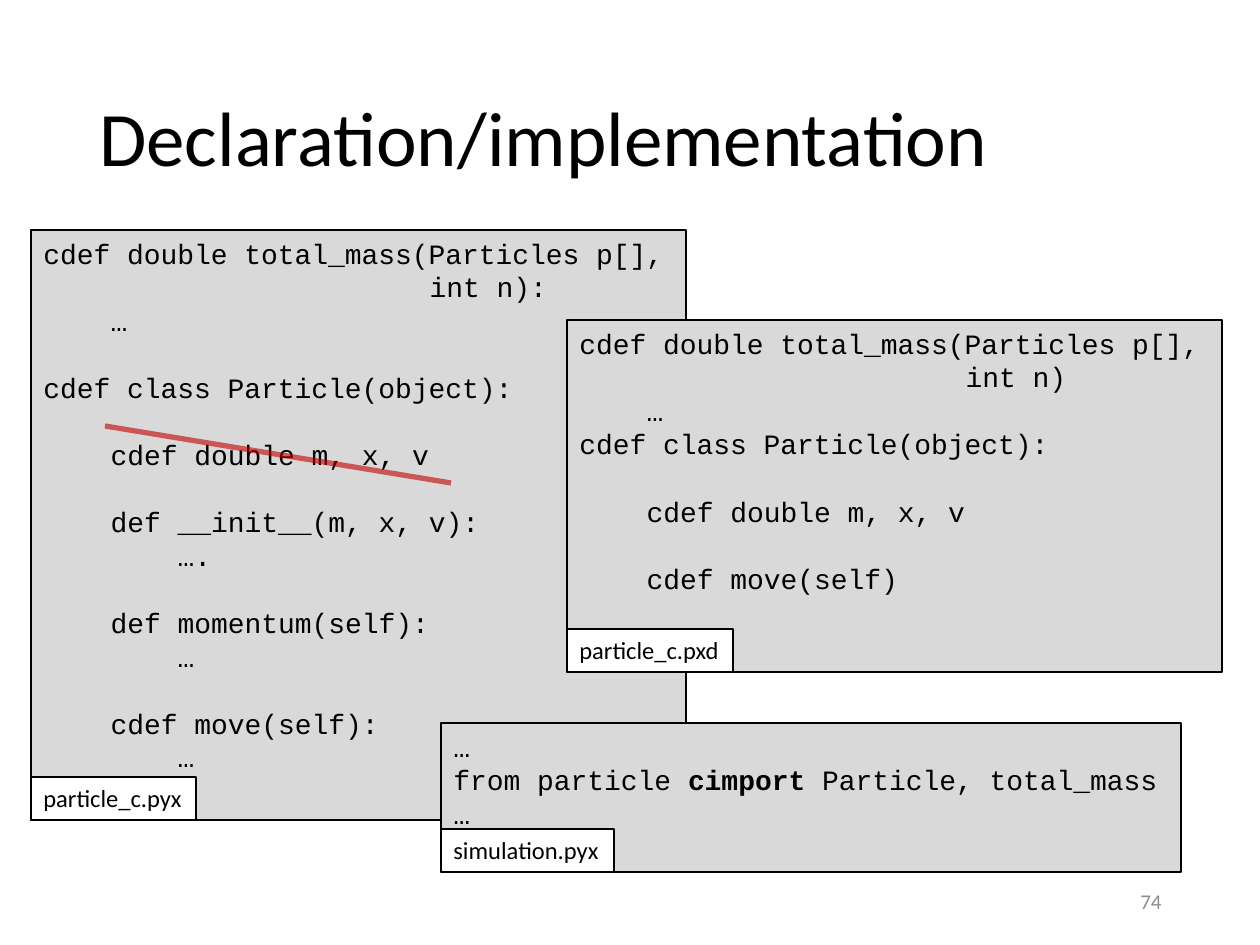
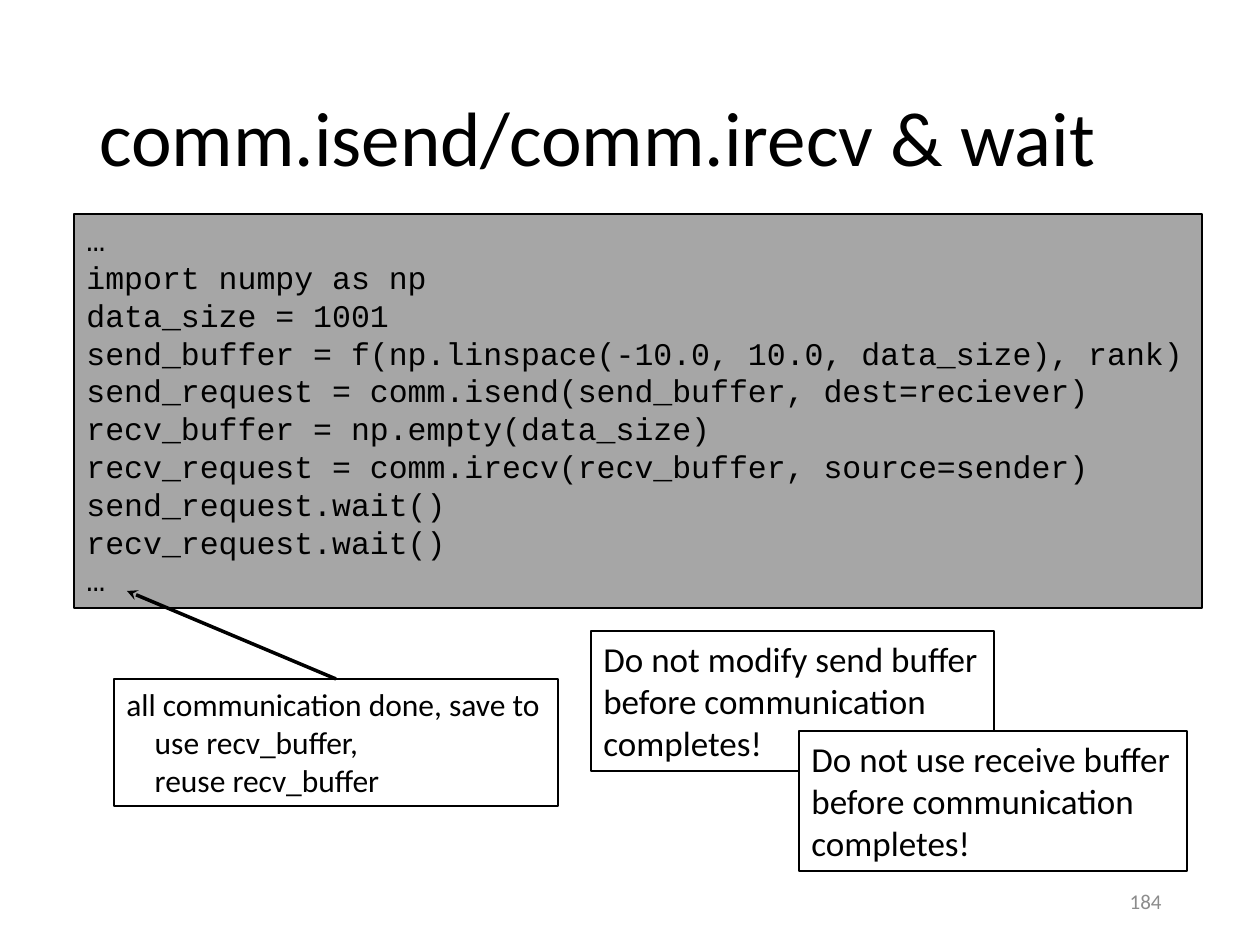
from lxml import etree
from pptx import Presentation
from pptx.dml.color import RGBColor
from pptx.enum.shapes import MSO_CONNECTOR, MSO_SHAPE
from pptx.enum.text import MSO_ANCHOR, PP_ALIGN
from pptx.oxml.ns import qn
from pptx.util import Emu, Inches, Pt

RECTANGLE = MSO_SHAPE.RECTANGLE
STRAIGHT = MSO_CONNECTOR.STRAIGHT
TOP, MIDDLE = MSO_ANCHOR.TOP, MSO_ANCHOR.MIDDLE
LEFT, RIGHT = PP_ALIGN.LEFT, PP_ALIGN.RIGHT

PIXEL = 914400 // 126
BLACK, WHITE, MUTED, RED = "000000", "FFFFFF", "8C8C8C", "C00000"
LIGHT_GRAY, MID_GRAY = "D9D9D9", "A6A6A6"
SANS, MONO = "Calibri", "Courier New"
CHARACTER_WIDTH = 0.6
LINE_HEIGHT = 1.2
LABEL_HEIGHT = 43


def px(length):
    return Emu(length * PIXEL)


def rgb(value):
    return RGBColor.from_string(value)


def line(*spans, indent=0, gap=0):
    return spans, indent, gap


class Composer:
    def __init__(self, deck):
        self.deck = deck
        self.slide = None

    def start(self, title, number):
        self.slide = self.deck.slides.add_slide(self.deck.slide_layouts[6])
        self.caption((87, 50, 1086, 183), title, 44, spacing=0.9)
        self.caption((890, 876, 284, 50), str(number), 12, MUTED, RIGHT)

    def caption(self, place, text, size, color=BLACK, align=LEFT, spacing=1.0):
        box = self.slide.shapes.add_textbox(*map(px, place))
        self.fill_text(box.text_frame, [line(text)], SANS, size, color, align, MIDDLE)
        box.text_frame.paragraphs[0].line_spacing = spacing

    def fill_text(self, frame, lines, font, size, color=BLACK, align=LEFT, anchor=TOP):
        frame.word_wrap = True
        frame.vertical_anchor = anchor
        for index, (spans, indent, gap) in enumerate(lines):
            para = frame.add_paragraph() if index else frame.paragraphs[0]
            para.alignment = align
            if gap:
                para.space_before = Pt(gap * LINE_HEIGHT * size)
            if indent:
                properties = para._p.get_or_add_pPr()
                properties.set("marL", str(Pt(indent * CHARACTER_WIDTH * size)))
            for position, text in enumerate(spans):
                for row, part in enumerate(text.split("\n")):
                    if row:
                        para.add_line_break()
                    span = para.add_run()
                    span.text = part
                    span.font.name = font
                    span.font.size = Pt(size)
                    span.font.bold = position % 2 == 1
                    span.font.color.rgb = rgb(color)

    def box(self, place, lines, font, size, fill=None, holder=None):
        shapes = (holder or self.slide).shapes
        box = shapes.add_shape(RECTANGLE, *map(px, place))
        box.shadow.inherit = False
        if fill:
            box.fill.solid()
            box.fill.fore_color.rgb = rgb(fill)
        else:
            box.fill.background()
        box.line.color.rgb = rgb(BLACK)
        box.line.width = Pt(0.75)
        self.fill_text(box.text_frame, lines, font, size)

    def group(self):
        return self.slide.shapes.add_group_shape()

    def code_panel(self, place, lines, label, label_width):
        left, top, width, height = place
        panel = self.group()
        self.box(place, lines, MONO, 16, LIGHT_GRAY, panel)
        tab = (left, top + height - LABEL_HEIGHT, label_width, LABEL_HEIGHT)
        self.box(tab, [line(label)], SANS, 14, WHITE, panel)

    def stroke(self, start, end, color, width, opacity=None, arrow=None, holder=None):
        shapes = (holder or self.slide).shapes
        connector = shapes.add_connector(STRAIGHT, *map(px, start + end))
        connector.line.color.rgb = rgb(color)
        connector.line.width = Pt(width)
        properties = connector._element.spPr
        outline = properties.find(qn("a:ln"))
        if opacity:
            shade = outline.find(".//" + qn("a:srgbClr"))
            etree.SubElement(shade, qn("a:alpha"), val=str(opacity * 1000))
        if arrow:
            etree.SubElement(outline, qn("a:tailEnd"), type=arrow)
        etree.SubElement(properties, qn("a:effectLst"))


deck = Presentation()
deck.slide_width, deck.slide_height = Inches(10), Inches(7.5)
page = Composer(deck)

signature = line("cdef double total_mass(Particles p[],")
class_head = "cdef class Particle(object):"
fields = line("cdef double m, x, v", indent=4, gap=1)

page.start("Declaration/implementation", 74)
page.code_panel((31, 230, 655, 590), [
    signature,
    line("int n):", indent=23),
    line("…", indent=4),
    line(class_head, gap=1),
    fields,
    line("def __init__(m, x, v):", indent=4, gap=1),
    line("….", indent=8),
    line("def momentum(self):", indent=4, gap=1),
    line("…", indent=8),
    line("cdef move(self):", indent=4, gap=1),
    line("…", indent=8),
], "particle_c.pyx", 165)
page.code_panel((567, 320, 655, 352), [
    signature,
    line("int n)", indent=23),
    line("…", indent=4),
    line(class_head),
    fields,
    line("cdef move(self)", indent=4, gap=1),
], "particle_c.pxd", 166)
page.stroke((105, 426), (451, 483), RED, 3, opacity=60)
page.code_panel((441, 723, 740, 149), [
    line("…"),
    line("from particle ", "cimport", " Particle, total_mass"),
    line("…"),
], "simulation.pyx", 173)

page.start("comm.isend/comm.irecv & wait", 184)
exchange = [
    "…",
    "import numpy as np",
    "data_size = 1001",
    "send_buffer = f(np.linspace(-10.0, 10.0, data_size), rank)",
    "send_request = comm.isend(send_buffer, dest=reciever)",
    "recv_buffer = np.empty(data_size)",
    "recv_request = comm.irecv(recv_buffer, source=sender)",
    "send_request.wait()",
    "recv_request.wait()",
    "…",
]
page.box((74, 214, 1128, 394), [line(text) for text in exchange], MONO, 18, MID_GRAY)
callout = page.group()
page.box((114, 679, 444, 127), [
    line("all communication done, save to"),
    line("use recv_buffer,", indent=1.5),
    line("reuse recv_buffer", indent=1.5),
], SANS, 18, holder=callout)
page.stroke((336, 679), (127, 591), BLACK, 2, arrow="stealth", holder=callout)
for place, action, fill in [
    ((591, 631, 403, 140), "modify send", None),
    ((799, 731, 388, 140), "use receive", WHITE),
]:
    warning = f"Do not {action} buffer\nbefore communication\ncompletes!"
    page.box(place, [line(warning)], SANS, 20, fill)

deck.save("out.pptx")
